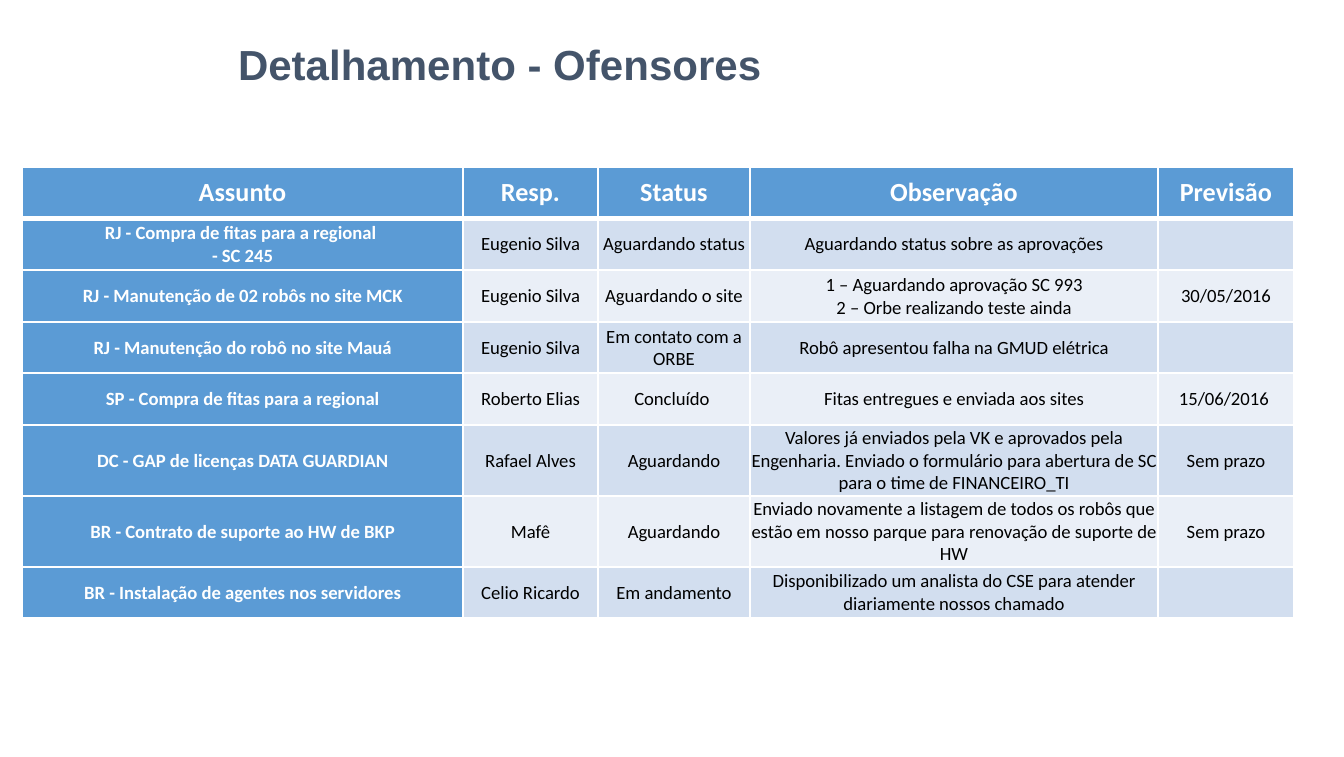
from lxml.etree import SubElement
from pptx import Presentation
from pptx.dml.color import RGBColor
from pptx.enum.text import MSO_ANCHOR, MSO_AUTO_SIZE, PP_ALIGN
from pptx.oxml.ns import qn
from pptx.util import Inches, Pt

EMU_PER_PX = 914400 / 134.4
COLORS = {
    "title": "44546A",
    "accent": "5B9BD5",
    "band_dark": "D2DEEF",
    "band_light": "EAEFF7",
    "white": "FFFFFF",
    "black": "000000",
}
COLUMN_WIDTHS = [441, 135, 152, 408, 136]
ROW_HEIGHTS = [51, 52, 52, 51, 52, 71, 71, 51]
HEADINGS = ["Assunto", "Resp.", "Status", "Observação", "Previsão"]
OFFENDERS = [
    ["RJ - Compra de fitas para a regional \n- SC 245", "Eugenio Silva",
     "Aguardando status", "Aguardando status sobre as aprovações", ""],
    ["RJ - Manutenção de 02 robôs no site MCK", "Eugenio Silva",
     "Aguardando o site",
     "1 – Aguardando aprovação SC 993\n2 – Orbe realizando teste ainda", "30/05/2016"],
    ["RJ - Manutenção do robô no site Mauá", "Eugenio Silva",
     "Em contato com a ORBE", "Robô apresentou falha na GMUD elétrica", ""],
    ["SP - Compra de fitas para a regional", "Roberto Elias",
     "Concluído ", "Fitas entregues e enviada aos sites", "15/06/2016 "],
    ["DC - GAP de licenças DATA GUARDIAN", "Rafael Alves", "Aguardando",
     "Valores já enviados pela VK e aprovados pela Engenharia. Enviado o "
     "formulário para abertura de SC para o time de FINANCEIRO_TI", "Sem prazo"],
    ["BR - Contrato de suporte ao HW de BKP", "Mafê", "Aguardando",
     "Enviado novamente a listagem de todos os robôs que estão em nosso "
     "parque para renovação de suporte de HW", "Sem prazo"],
    ["BR - Instalação de agentes nos servidores", "Celio Ricardo", "Em andamento",
     "Disponibilizado um analista do CSE para atender diariamente nossos chamado", ""],
]


def px(length):
    return round(length * EMU_PER_PX)


def write_text(frame, text, *, size, color, font="Calibri", bold=False, align=PP_ALIGN.CENTER):
    frame.text = text
    frame.word_wrap = True
    for paragraph in frame.paragraphs:
        paragraph.alignment = align
        paragraph.font.name = font
        paragraph.font.size = Pt(size)
        paragraph.font.bold = bold
        paragraph.font.color.rgb = RGBColor.from_string(COLORS[color])


def set_margins(holder, left, top, right, bottom):
    holder.margin_left, holder.margin_top = px(left), px(top)
    holder.margin_right, holder.margin_bottom = px(right), px(bottom)


class StatusSlide:
    """Holds the table style and the slide being built."""

    heading_size = 14
    entry_size = 10
    rule = 1
    heading_rule = 3

    def __init__(self, presentation):
        self.slide = presentation.slides.add_slide(presentation.slide_layouts[5])

    def title(self, text, left, top, width, height):
        heading = self.slide.shapes.title
        heading.left, heading.top = px(left), px(top)
        heading.width, heading.height = px(width), px(height)
        frame = heading.text_frame
        write_text(frame, text, size=22.5, color="title", font="Arial",
                   bold=True, align=PP_ALIGN.LEFT)
        frame.auto_size = MSO_AUTO_SIZE.NONE
        frame.vertical_anchor = MSO_ANCHOR.MIDDLE
        set_margins(frame, 10, 5, 10, 5)

    def table(self, rows, left, top, widths, heights):
        table = self.slide.shapes.add_table(
            len(rows), len(widths), px(left), px(top), px(sum(widths)), px(sum(heights))
        ).table
        for column, width in zip(table.columns, widths):
            column.width = px(width)
        for row, height in zip(table.rows, heights):
            row.height = px(height)
        for row_index, entries in enumerate(rows):
            for column_index, text in enumerate(entries):
                self.cell(table.cell(row_index, column_index), text, row_index, column_index)

    def cell(self, cell, text, row, column):
        is_heading = row == 0
        is_accent = is_heading or column == 0
        band = "band_dark" if row % 2 else "band_light"
        write_text(cell.text_frame, text,
                   size=self.heading_size if is_heading else self.entry_size,
                   color="white" if is_accent else "black", bold=is_accent)
        cell.vertical_anchor = MSO_ANCHOR.MIDDLE
        set_margins(cell, *((12, 6, 12, 6) if is_heading else (1, 1, 1, 0)))
        self.borders(cell,
                     top=self.heading_rule if row == 1 else self.rule,
                     bottom=self.heading_rule if is_heading else self.rule)
        cell.fill.solid()
        cell.fill.fore_color.rgb = RGBColor.from_string(COLORS["accent" if is_accent else band])

    def borders(self, cell, top, bottom):
        properties = cell._tc.get_or_add_tcPr()
        for side, width in (("L", self.rule), ("R", self.rule), ("T", top), ("B", bottom)):
            line = SubElement(properties, qn(f"a:ln{side}"), w=str(Pt(width)))
            fill = SubElement(line, qn("a:solidFill"))
            SubElement(fill, qn("a:srgbClr"), val=COLORS["white"])


def main():
    presentation = Presentation()
    presentation.slide_width, presentation.slide_height = Inches(10), Inches(5.63)
    status = StatusSlide(presentation)
    status.title("Detalhamento - Ofensores", 228, 17, 801, 94)
    status.table([HEADINGS, *OFFENDERS], 22, 167, COLUMN_WIDTHS, ROW_HEIGHTS)
    presentation.save("out.pptx")


if __name__ == "__main__":
    main()
